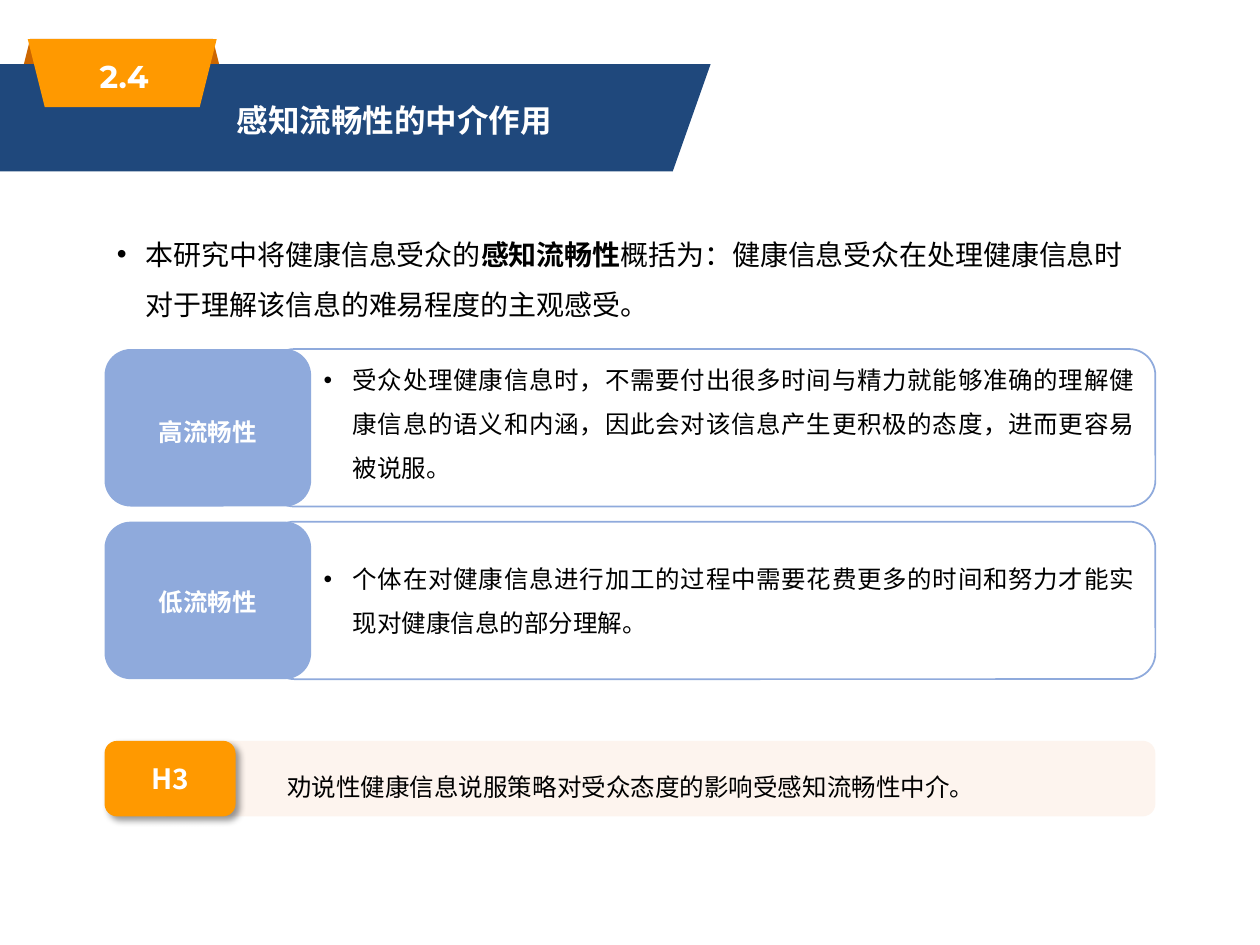
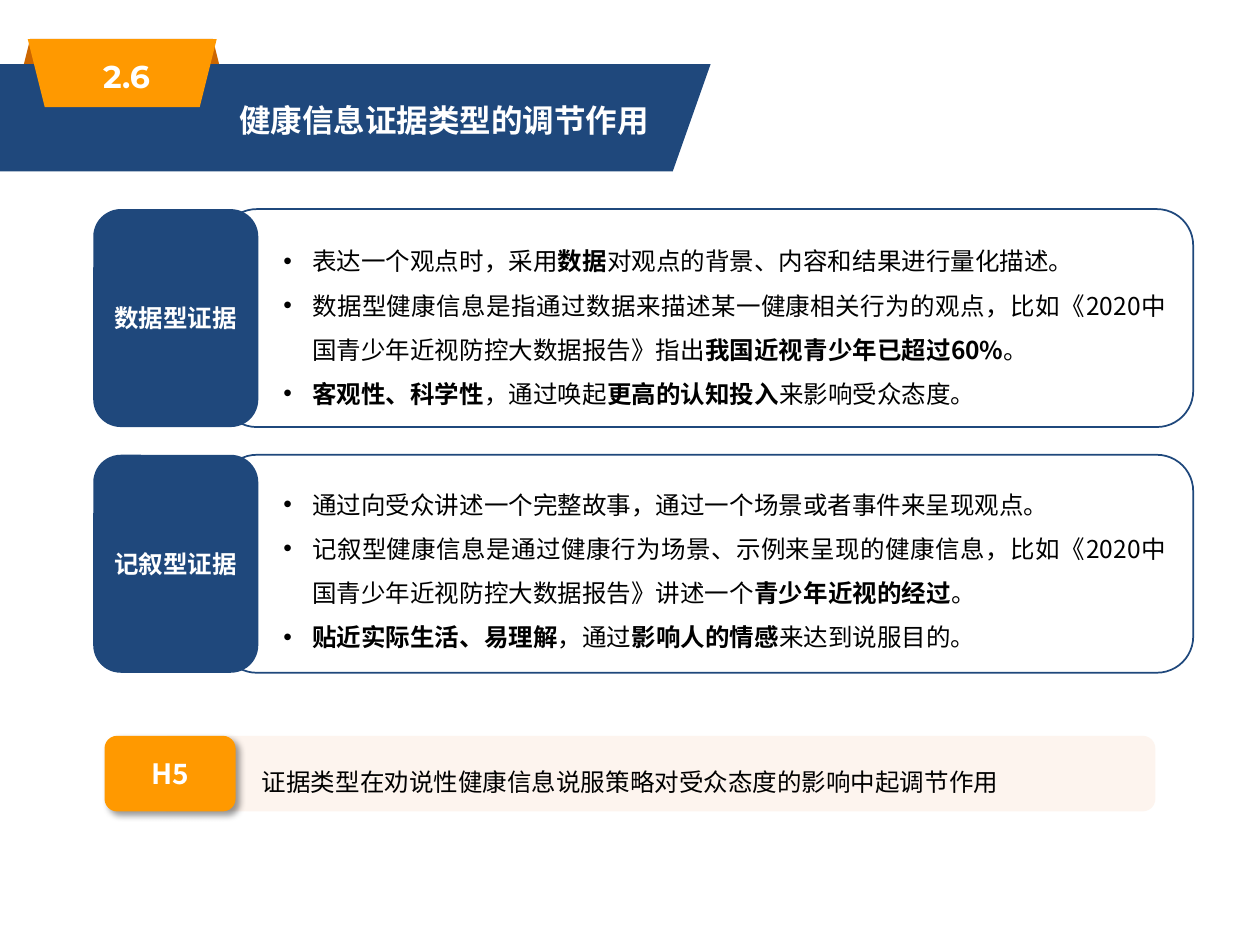
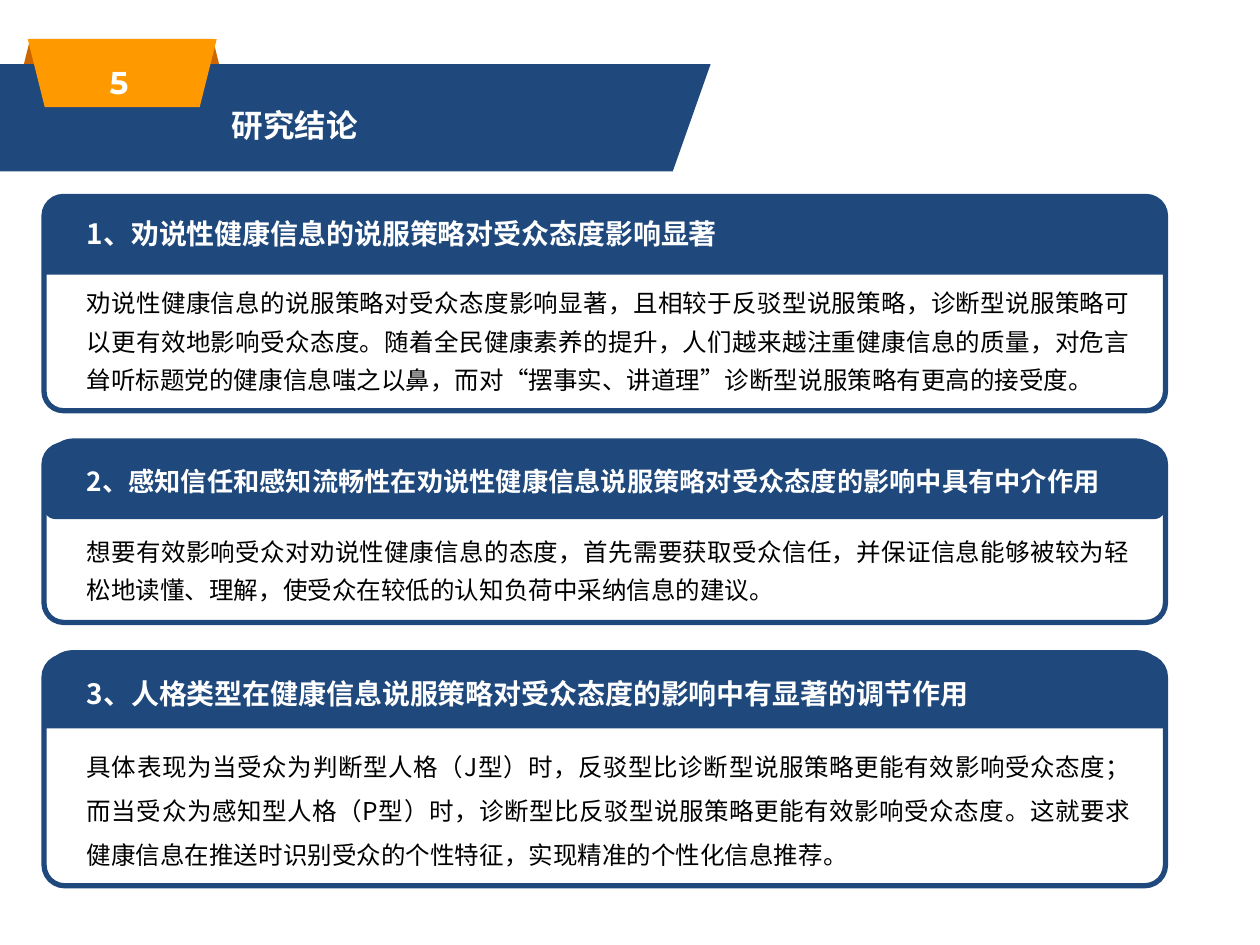
from dataclasses import dataclass

from lxml.etree import SubElement
from pptx import Presentation
from pptx.dml.color import RGBColor
from pptx.enum.lang import MSO_LANGUAGE_ID
from pptx.enum.shapes import MSO_SHAPE
from pptx.enum.text import MSO_ANCHOR, MSO_AUTO_SIZE, PP_ALIGN
from pptx.oxml.ns import qn
from pptx.util import Inches, Pt


@dataclass(frozen=True)
class Theme:
    navy: str = "1F487C"
    orange: str = "FF9900"
    fold: str = "CC6600"
    sky: str = "8FAADC"
    peach: str = "FBE5D6"
    white: str = "FFFFFF"
    black: str = "000000"
    font: str = "Noto Sans CJK SC"
    number_font: str = "Montserrat"
    title: float = 18
    head: float = 16
    head_small: float = 15
    body: float = 14


T = Theme()
LEFT, CENTER, JUSTIFY = PP_ALIGN.LEFT, PP_ALIGN.CENTER, PP_ALIGN.JUSTIFY


def inches(*values):
    return [Inches(v) for v in values]


class Deck:
    """Holds the style, the current slide and the group being filled."""

    def __init__(self):
        self.prs = Presentation()
        self.prs.slide_width, self.prs.slide_height = inches(10, 7.5)
        self.layout = self.prs.slide_layouts[5]
        self.s = self.shapes = None

    def slide(self, number, title, x, y):
        first = self.s is None
        self.s = self.prs.slides.add_slide(self.layout)
        self.shapes = self.s.shapes
        if first:
            self.ribbon()
        sp = self.s.shapes.title
        sp.left, sp.top, sp.width, sp.height = inches(x, y, 3.85, 0.5)
        self.set_text(sp, [title], T.title, T.white, bold=True, spacing=1.5,
                      before=7.5, grow=True)
        self.text((x - 1.59, y - 0.17, 1.59, 0.39), [number], T.title, T.white,
                  bold=True, align=CENTER, spacing=0.9, before=10,
                  anchor=MSO_ANCHOR.MIDDLE, font=T.number_font)

    def ribbon(self):
        """Draw the title band once and hand it to the shared layout."""
        fold = self.shape(MSO_SHAPE.TRAPEZOID, (0.13, 0.31, 1.67, 0.44), T.fold)
        fb = self.shapes.build_freeform(Inches(0), Inches(0.51))
        fb.add_line_segments([inches(*pt) for pt in
                              ((5.64, 0.51), (5.34, 1.36), (0, 1.36))])
        band = self.paint(fb.convert_to_shape(), T.navy)
        tab = self.shape(MSO_SHAPE.TRAPEZOID, (0.22, 0.31, 1.5, 0.54), T.orange)
        tab.rotation = 180
        for i, sp in enumerate((fold, band, tab)):
            sp.element.nvSpPr.cNvPr.set("id", str(20 + i))
            self.layout.shapes.element.append(sp.element)

    def group(self):
        self.shapes = self.s.shapes.add_group_shape().shapes

    def paint(self, sp, fill=None, line=None, width=1):
        sp.shadow.inherit = False
        if fill:
            sp.fill.solid()
            sp.fill.fore_color.rgb = RGBColor.from_string(fill)
        else:
            sp.fill.background()
        if line:
            sp.line.color.rgb = RGBColor.from_string(line)
            sp.line.width = Pt(width)
        else:
            sp.line.fill.background()
        return sp

    def shape(self, kind, box, fill=None, line=None, width=1, adj=()):
        sp = self.shapes.add_shape(kind, *inches(*box))
        for i, value in enumerate(adj):
            sp.adjustments[i] = value
        return self.paint(sp, fill, line, width)

    def text(self, box, lines, size, color, **style):
        sp = self.shapes.add_textbox(*inches(*box))
        self.set_text(sp, lines, size, color, **style)

    def set_text(self, sp, lines, size, color, bold=False, align=LEFT, spacing=1,
                 before=0, indent=0, bullet=False, anchor=MSO_ANCHOR.TOP,
                 font=T.font, grow=False, wrap=True):
        """Fill a shape with paragraphs; *stars* enclose bold words."""
        tf = sp.text_frame
        tf.word_wrap, tf.vertical_anchor = wrap, anchor
        tf.auto_size = MSO_AUTO_SIZE.SHAPE_TO_FIT_TEXT if grow else MSO_AUTO_SIZE.NONE
        for i, line in enumerate(lines):
            p = tf.add_paragraph() if i else tf.paragraphs[0]
            p.alignment, p.line_spacing, p.space_before = align, spacing, Pt(before)
            pPr = p._p.get_or_add_pPr()
            if bullet:
                pPr.set("marL", str(Inches(0.23)))
                pPr.set("indent", str(Inches(-0.23)))
                SubElement(pPr, qn("a:buFont"), typeface="Arial")
                SubElement(pPr, qn("a:buChar"), char="•")
            elif indent:
                pPr.set("marL", "0")
                pPr.set("indent", str(Inches(indent)))
            for j, part in enumerate(line.split("*")):
                if part:
                    r = p.add_run()
                    r.text = part
                    f = r.font
                    f.size, f.bold, f.name = Pt(size), bold or j % 2 == 1, font
                    f.color.rgb = RGBColor.from_string(color)
                    f.language_id = MSO_LANGUAGE_ID.SIMPLIFIED_CHINESE
                    SubElement(r._r.get_or_add_rPr(), qn("a:ea"), typeface=font)

    def panel(self, tag, frame, color, label, body, lines, spacing=1,
              before=0, insets=None):
        """Outlined frame with a coloured label at its left end."""
        self.group()
        self.shape(MSO_SHAPE.ROUNDED_RECTANGLE, frame, line=color)
        sp = self.shape(MSO_SHAPE.ROUNDED_RECTANGLE, tag, color)
        if insets:
            sp.text_frame.margin_top, sp.text_frame.margin_bottom = inches(*insets)
        self.set_text(sp, [label], T.body, T.white, bold=True, align=CENTER,
                      spacing=spacing, anchor=MSO_ANCHOR.MIDDLE)
        self.text(body, lines, T.body, T.black, align=JUSTIFY, spacing=1.5,
                  before=before, bullet=True, grow=True)

    def hypothesis(self, y, code, line, x, w):
        """Pale bar with a shadowed code badge."""
        self.group()
        bar = self.shape(MSO_SHAPE.ROUNDED_RECTANGLE, (1.24, y, 7.93, 0.6), T.peach)
        rgb = bar.element.spPr.find(qn("a:solidFill")).find(qn("a:srgbClr"))
        SubElement(rgb, qn("a:alpha"), val="40000")
        badge = self.shape(MSO_SHAPE.ROUNDED_RECTANGLE, (0.83, y, 1.04, 0.6), T.orange)
        shadow = SubElement(badge.element.spPr.find(qn("a:effectLst")),
                            qn("a:outerShdw"), blurRad=str(Pt(4)), dist=str(Pt(3)),
                            dir=str(45 * 60000), algn="tl", rotWithShape="0")
        SubElement(SubElement(shadow, qn("a:srgbClr"), val=T.black),
                   qn("a:alpha"), val="40000")
        self.set_text(badge, [code], T.head, T.white, bold=True, align=CENTER,
                      anchor=MSO_ANCHOR.MIDDLE)
        self.text((x, y + 0.08, w, 0.41), [line], T.body, T.black, align=JUSTIFY,
                  spacing=1.5, indent=0.22, grow=True, wrap=False)

    def card(self, frame, header, corners, radius, title, size, title_y,
             body, spacing, line):
        """Framed conclusion; frame, header and body are (top, height)."""
        self.group()
        x, w = 0.35, 8.9
        self.shape(MSO_SHAPE.ROUNDED_RECTANGLE, (x, frame[0], w, frame[1]),
                   line=T.navy, width=3, adj=[radius])
        self.shape(MSO_SHAPE.ROUND_2_SAME_RECTANGLE, (x, header[0], w, header[1]),
                   T.navy, adj=corners)
        self.text((0.59, title_y, 8.41, 0.37), [title], size, T.white,
                  bold=True, grow=True)
        self.text((0.59, body[0], 8.48, body[1]), [line], T.body, T.black,
                  align=JUSTIFY, spacing=spacing, grow=True)


# Slide 1
def fluency(d):
    d.slide("2.4", "感知流畅性的中介作用", 1.78, 0.6)
    d.text((0.83, 1.7, 8.34, 0.86),
           ["本研究中将健康信息受众的*感知流畅性*概括为：健康信息受众在处理健康信息时"
            "对于理解该信息的难易程度的主观感受。"],
           T.head, T.black, spacing=1.5, bullet=True, grow=True)
    levels = [
        ("高流畅性", 2.73, 1.34, 0.05,
         "受众处理健康信息时，不需要付出很多时间与精力就能够准确的理解健康信息的语义和内涵，"
         "因此会对该信息产生更积极的态度，进而更容易被说服。"),
        ("低流畅性", 4.31, 0.92, 0.09,
         "个体在对健康信息进行加工的过程中需要花费更多的时间和努力才能实现对健康信息的部分理解。"),
    ]
    for i, (label, body_y, body_h, bottom, line) in enumerate(levels):
        y = 2.77 + 1.37 * i
        d.panel((0.83, y, 1.64, 1.25), (2.13, y, 7.04, 1.25), T.sky, label,
                (2.47, body_y, 6.63, body_h), [line], spacing=1.5, before=4.5,
                insets=(0, bottom))
    d.hypothesis(5.88, "H3", "劝说性健康信息说服策略对受众态度的影响受感知流畅性中介。",
                 1.96, 5.92)


# Slide 2
def evidence(d):
    d.slide("2.6", "健康信息证据类型的调节作用", 1.8, 0.6)
    kinds = [
        ("数据型证据", 1.79, [
            "表达一个观点时，采用*数据*对观点的背景、内容和结果进行量化描述。",
            "数据型健康信息是指通过数据来描述某一健康相关行为的观点，比如《2020"
            "中国青少年近视防控大数据报告》指出*我国近视青少年已超过60%*。",
            "*客观性、科学性*，通过唤起*更高的认知投入*来影响受众态度。"]),
        ("记叙型证据", 3.72, [
            "通过向受众讲述一个完整故事，通过一个场景或者事件来呈现观点。",
            "记叙型健康信息是通过健康行为场景、示例来呈现的健康信息，比如《2020"
            "中国青少年近视防控大数据报告》讲述一个*青少年近视的经过*。",
            "*贴近实际生活、易理解*，通过*影响人的情感*来达到说服目的。"]),
    ]
    for i, (label, body_y, lines) in enumerate(kinds):
        y = 1.66 + 1.95 * i
        d.panel((0.74, y, 1.31, 1.73), (1.75, y, 7.72, 1.73), T.navy, label,
                (2.15, body_y, 7.2, 1.47), lines)
    d.hypothesis(5.84, "H5", "证据类型在劝说性健康信息说服策略对受众态度的影响中起调节作用",
                 1.76, 6.31)


# Slide 3
def conclusions(d):
    d.slide("5", "研究结论", 1.74, 0.64)
    d.card((1.56, 1.7), (1.56, 0.62), (0.28, 0), 0.09,
           "1、劝说性健康信息的说服策略对受众态度影响显著", T.head, 1.67,
           (2.17, 0.99), 1.3,
           "劝说性健康信息的说服策略对受众态度影响显著，且相较于反驳型说服策略，"
           "诊断型说服策略可以更有效地影响受众态度。随着全民健康素养的提升，"
           "人们越来越注重健康信息的质量，对危言耸听标题党的健康信息嗤之以鼻，"
           "而对“摆事实、讲道理”诊断型说服策略有更高的接受度。")
    d.card((3.53, 1.41), (3.48, 0.64), (0.37, 0.14), 0.11,
           "2、感知信任和感知流畅性在劝说性健康信息说服策略对受众态度的影响中具有中介作用",
           T.head_small, 3.64, (4.14, 0.71), 1.3,
           "想要有效影响受众对劝说性健康信息的态度，首先需要获取受众信任，"
           "并保证信息能够被较为轻松地读懂、理解，使受众在较低的认知负荷中采纳信息的建议。")
    d.card((5.21, 1.82), (5.16, 0.62), (0.37, 0), 0.09,
           "3、人格类型在健康信息说服策略对受众态度的影响中有显著的调节作用", T.head, 5.32,
           (5.8, 1.12), 1.5,
           "具体表现为当受众为判断型人格（J型）时，反驳型比诊断型说服策略更能有效影响受众态度；"
           "而当受众为感知型人格（P型）时，诊断型比反驳型说服策略更能有效影响受众态度。"
           "这就要求健康信息在推送时识别受众的个性特征，实现精准的个性化信息推荐。")


def main():
    d = Deck()
    for build in (fluency, evidence, conclusions):
        build(d)
    d.prs.save("out.pptx")


if __name__ == "__main__":
    main()
